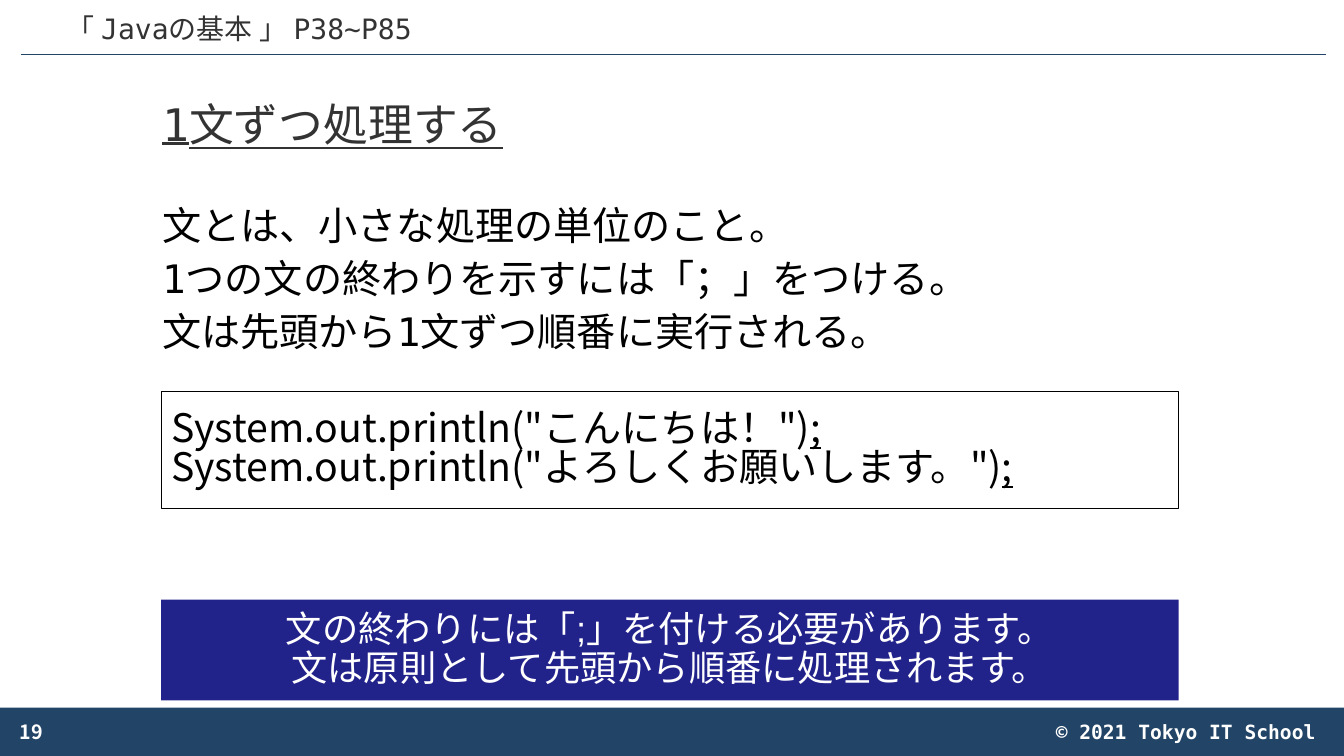
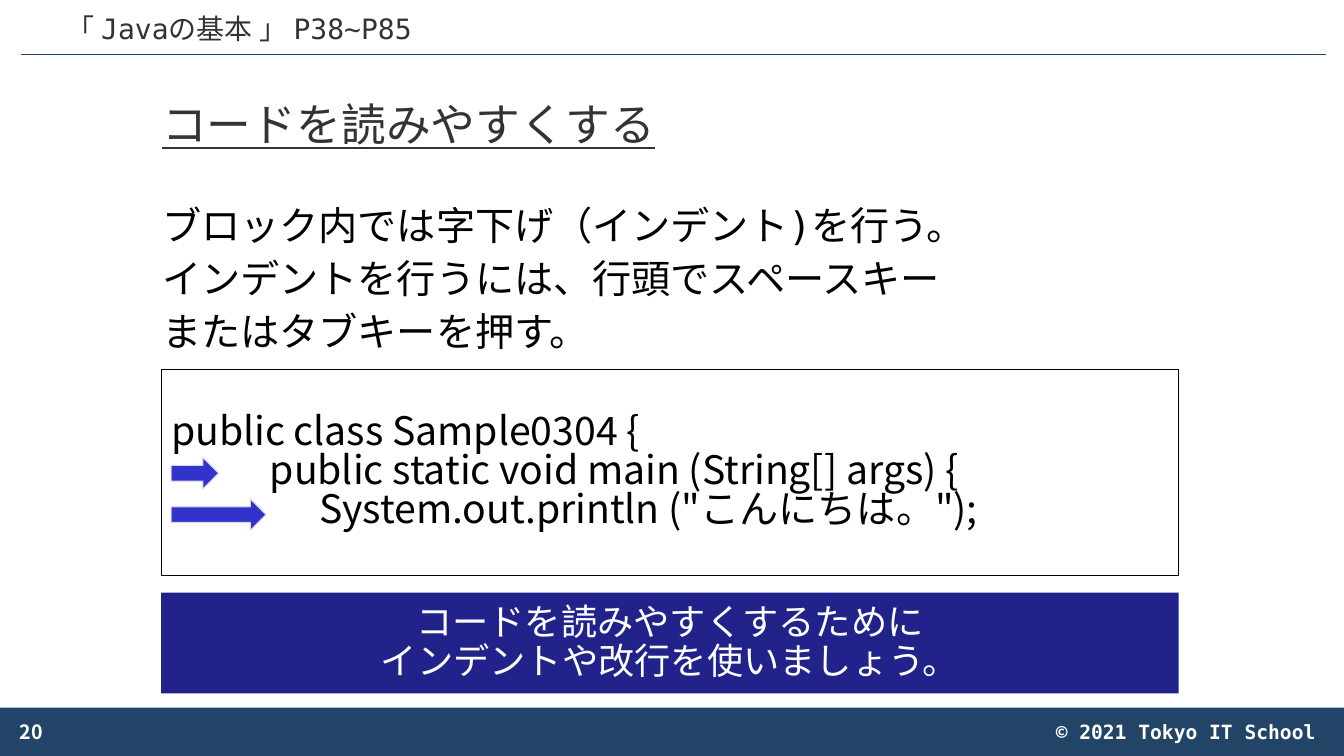
import pptx
import pptx.dml.color
import pptx.enum.shapes
import pptx.enum.text
import pptx.oxml.ns
import pptx.util
from lxml import etree

Inches, Pt = pptx.util.Inches, pptx.util.Pt
RGBColor = pptx.dml.color.RGBColor
Shape = pptx.enum.shapes.MSO_SHAPE
Align, Anchor = pptx.enum.text.PP_ALIGN, pptx.enum.text.MSO_ANCHOR
qn = pptx.oxml.ns.qn

# Colours and fonts
WHITE = RGBColor(0xFF, 0xFF, 0xFF)
BLACK = RGBColor(0x00, 0x00, 0x00)
CHARCOAL = RGBColor(0x33, 0x33, 0x33)
BAND_BLUE = RGBColor(0x22, 0x44, 0x66)
BANNER_BLUE = RGBColor(0x22, 0x22, 0x8B)
ARROW_BLUE = RGBColor(0x33, 0x33, 0xCC)
ARROW_EDGE = RGBColor(0xD6, 0xD6, 0xF5)
MONO, GOTHIC = "DejaVu Sans Mono", "Noto Sans CJK JP"

# Text styles: font attributes, then paragraph attributes
STYLES = {
    "header": (dict(name=MONO, size=Pt(20), color=CHARCOAL),
               dict(alignment=Align.CENTER, line_spacing=0.9)),
    "title": (dict(name=MONO, size=Pt(32), color=CHARCOAL, underline=True),
              dict(alignment=Align.LEFT, line_spacing=0.9)),
    "body": (dict(name=MONO, size=Pt(28), color=BLACK),
             dict(alignment=Align.LEFT, line_spacing=0.9, space_before=Pt(7.5))),
    "code": (dict(name=GOTHIC, size=Pt(28), color=BLACK),
             dict(alignment=Align.LEFT, line_spacing=Pt(27.8))),
    "banner": (dict(name="Arial", size=Pt(25.9), color=WHITE),
               dict(alignment=Align.CENTER, line_spacing=0.9)),
    "number": (dict(name=GOTHIC, size=Pt(14), color=WHITE, bold=True),
               dict(alignment=Align.LEFT)),
    "copyright": (dict(name=MONO, size=Pt(14), color=WHITE, bold=True),
                  dict(alignment=Align.RIGHT)),
}

# Content
HEADER = "「 Javaの基本 」 P38~P85"
COPYRIGHT = "© 2021 Tokyo IT School"
FIRST_NUMBER = 19
LESSONS = [
    dict(title="1文ずつ処理する",
         body=["文とは、小さな処理の単位のこと。",
               "1つの文の終わりを示すには「；」をつける。",
               "文は先頭から1文ずつ順番に実行される。"],
         code=[(0, 'System.out.println("こんにちは！")', ";"),
               (0, 'System.out.println("よろしくお願いします。")', ";")],
         code_top=3.88, code_height=1.17,
         banner=["文の終わりには「;」を付ける必要があります。",
                 "文は原則として先頭から順番に処理されます。"],
         banner_top=5.95, arrows=0),
    dict(title="コードを読みやすくする",
         body=["ブロック内では字下げ（インデント)を行う。",
               "インデントを行うには、行頭でスペースキー",
               "またはタブキーを押す。"],
         code=[(0, "public class Sample0304 {", ""),
               (2, "public static void main (String[] args) {", ""),
               (3, 'System.out.println ("こんにちは。");', "")],
         code_top=3.67, code_height=2.04,
         banner=["コードを読みやすくするために",
                 "インデントや改行を使いましょう。"],
         banner_top=5.88, arrows=2),
]

# Layout
BOX_LEFT, BOX_WIDTH = 1.6, 10.1
TAB_STEP, TAB_COUNT = 0.49, 3
ARROW_LEFT, ARROW_TOP, ARROW_STEP = 1.7, 4.54, 0.41
ARROW_UNIT, ARROW_HEIGHT = 0.47, 0.31


def place(shape, left, top, width, height):
    for name, value in dict(left=left, top=top, width=width, height=height).items():
        setattr(shape, name, Inches(value))


def format_font(font, values):
    for name, value in values.items():
        if name == "color":
            font.color.rgb = value
        else:
            setattr(font, name, value)


def write(shape, style, lines, anchor=Anchor.MIDDLE):
    """Fill a shape with styled lines; a line is a text or (tabs, text, underlined end)."""
    font_values, paragraph_values = STYLES[style]
    frame = shape.text_frame
    frame.word_wrap = True
    frame.auto_size = pptx.enum.text.MSO_AUTO_SIZE.NONE
    frame.vertical_anchor = anchor
    for index, line in enumerate(lines):
        paragraph = frame.paragraphs[0] if index == 0 else frame.add_paragraph()
        for name, value in paragraph_values.items():
            setattr(paragraph, name, value)
        if index == 0:
            paragraph.space_before = Pt(0)
        tabs, text, ending = (0, line, "") if isinstance(line, str) else line
        properties = paragraph._p.get_or_add_pPr()
        if style == "body":
            properties.set("marL", "0")
            properties.set("indent", "0")
            etree.SubElement(properties, qn("a:buNone"))
        if tabs:
            tab_list = etree.SubElement(properties, qn("a:tabLst"))
            for stop in range(1, TAB_COUNT + 1):
                etree.SubElement(tab_list, qn("a:tab"), algn="l",
                                 pos=str(Inches(stop * TAB_STEP)))
        run = paragraph.add_run()
        run.text = "\t" * tabs + text
        format_font(run.font, font_values)
        if ending:
            run = paragraph.add_run()
            run.text = ending
            format_font(run.font, {**font_values, "underline": True})


def add_text(slide, box, style, lines, anchor=Anchor.MIDDLE):
    shape = slide.shapes.add_textbox(*map(Inches, box))
    write(shape, style, lines, anchor)
    return shape


def add_block(slide, kind, box, fill=None, line=None):
    shape = slide.shapes.add_shape(kind, *map(Inches, box))
    shape.shadow.inherit = False
    if fill is None:
        shape.fill.background()
    else:
        shape.fill.solid()
        shape.fill.fore_color.rgb = fill
    if line is None:
        shape.line.fill.background()
    else:
        shape.line.color.rgb = line
        shape.line.width = Pt(0.75)
    return shape


def furnish_layout(slide):
    """Draw the shared parts, then move them to the layout."""
    band = add_block(slide, Shape.RECTANGLE, (0, 7.02, 13.34, 0.48), BAND_BLUE)
    notice = add_text(slide, (8.34, 7.09, 4.82, 0.34), "copyright", [COPYRIGHT], Anchor.TOP)
    rule = slide.shapes.add_connector(
        pptx.enum.shapes.MSO_CONNECTOR.STRAIGHT,
        Inches(0.21), Inches(0.54), Inches(13.16), Inches(0.54))
    rule.line.color.rgb = BAND_BLUE
    rule.line.width = Pt(0.5)
    etree.SubElement(rule.element.spPr, qn("a:effectLst"))
    header = add_text(slide, (0, -0.04, 4.75, 0.54), "header", [HEADER], Anchor.BOTTOM)
    for shape in (band, notice, rule, header):
        slide.slide_layout.shapes.element.append(shape.element)


def add_lesson(slide, number, lesson):
    title, body = slide.placeholders
    place(title, 1.51, 0.68, 10.32, 1.16)
    write(title, "title", [lesson["title"]])
    place(body, 1.51, 2, 10.32, 4.76)
    write(body, "body", lesson["body"], Anchor.TOP)
    add_text(slide, (0.1, 7.06, 3, 0.4), "number", [str(number)])

    # Code box with its indent arrows
    code_box = add_block(slide, Shape.RECTANGLE,
                         (BOX_LEFT, lesson["code_top"], BOX_WIDTH, lesson["code_height"]),
                         line=BLACK)
    write(code_box, "code", lesson["code"])
    for index in range(lesson["arrows"]):
        add_block(slide, Shape.RIGHT_ARROW,
                  (ARROW_LEFT, ARROW_TOP + index * ARROW_STEP,
                   ARROW_UNIT * (index + 1), ARROW_HEIGHT), ARROW_BLUE, ARROW_EDGE)

    # Summary banner
    banner = add_block(slide, Shape.RECTANGLE,
                       (BOX_LEFT, lesson["banner_top"], BOX_WIDTH, 1), BANNER_BLUE)
    write(banner, "banner", lesson["banner"])


def main():
    presentation = pptx.Presentation()
    presentation.slide_width, presentation.slide_height = Inches(13.34), Inches(7.5)
    layout = presentation.slide_layouts[1]
    for index, lesson in enumerate(LESSONS):
        slide = presentation.slides.add_slide(layout)
        if index == 0:
            furnish_layout(slide)
        add_lesson(slide, FIRST_NUMBER + index, lesson)
    presentation.save("out.pptx")


if __name__ == "__main__":
    main()
